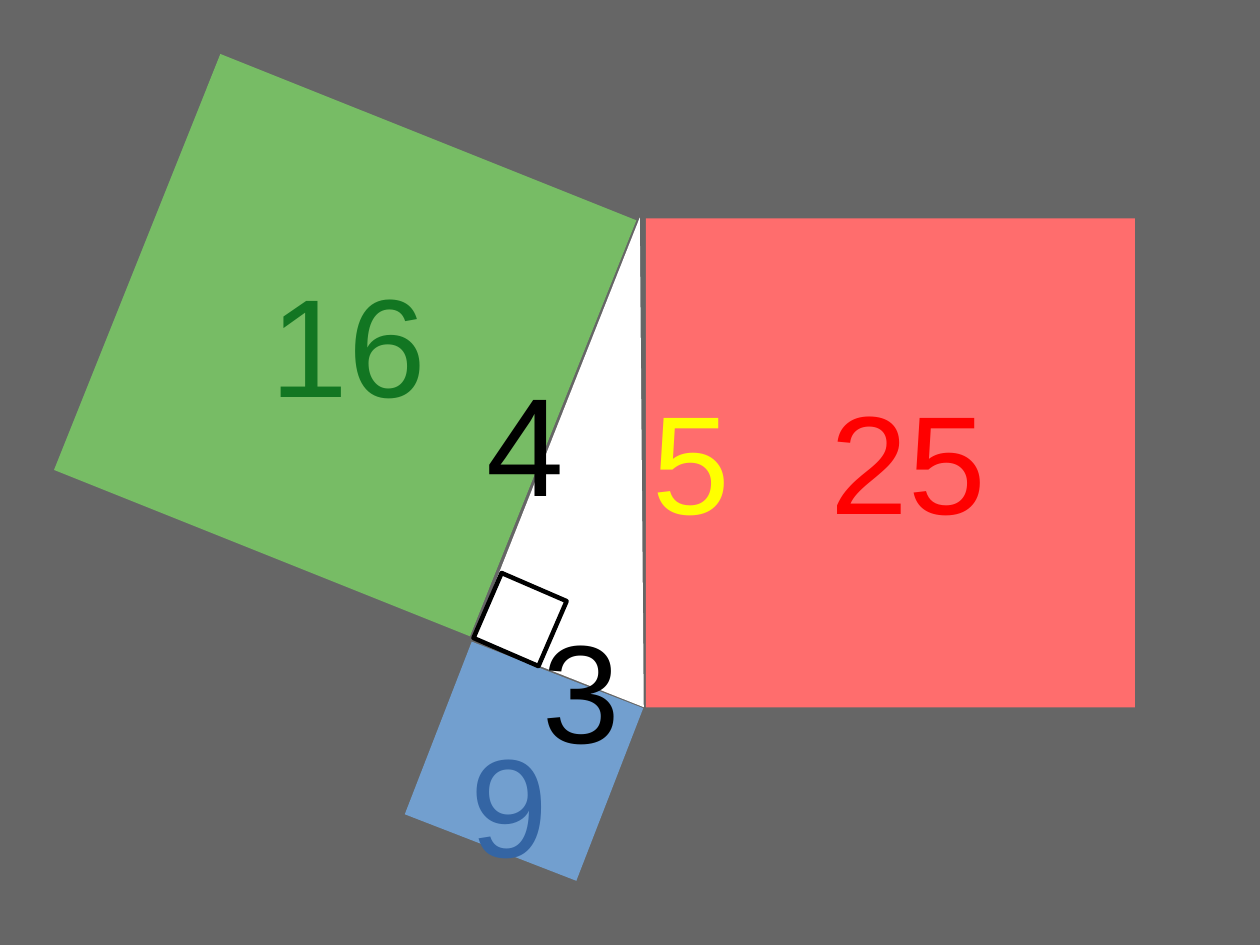
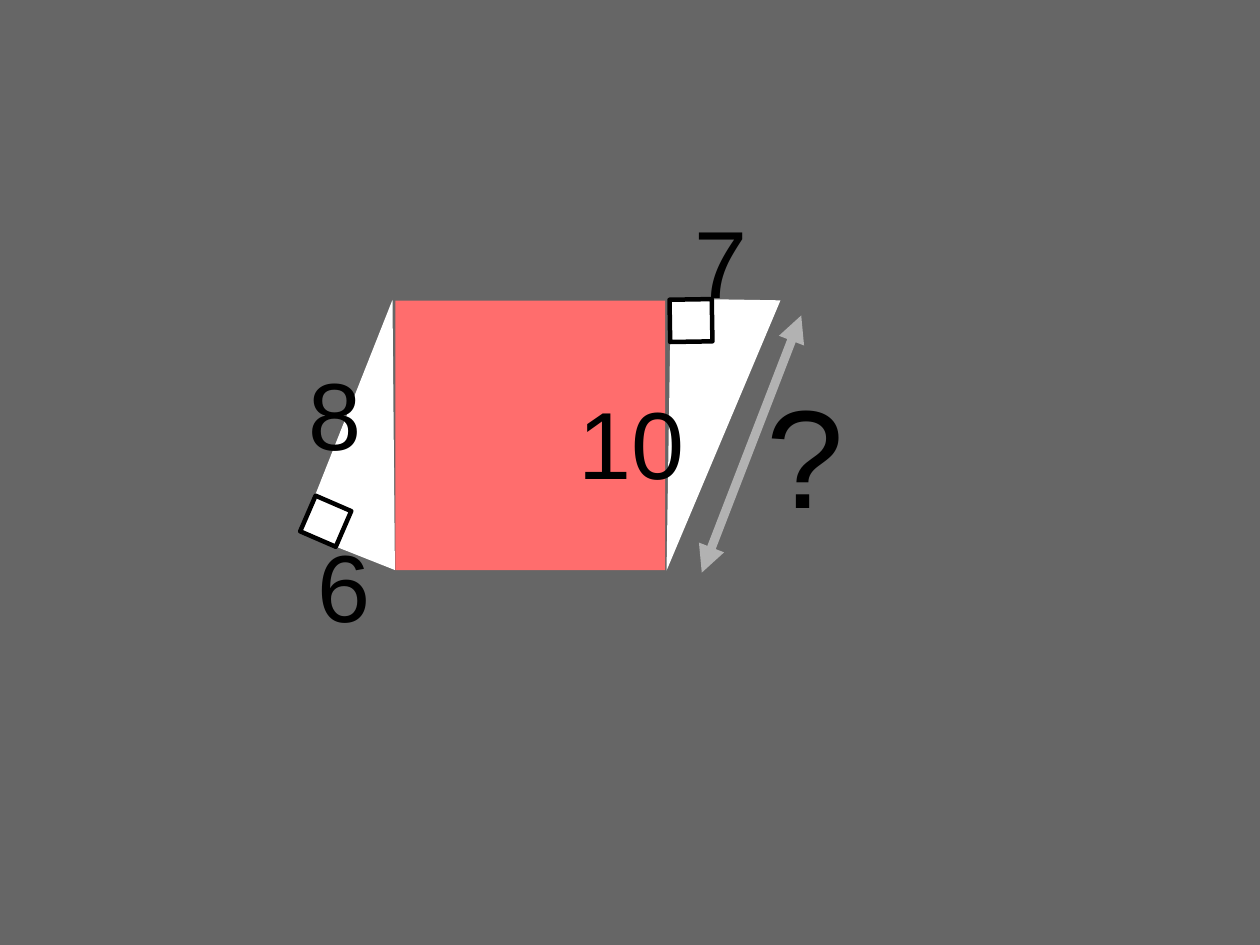
from dataclasses import dataclass

from lxml.etree import SubElement
from pptx import Presentation
from pptx.dml.color import RGBColor
from pptx.enum.shapes import MSO_CONNECTOR, MSO_SHAPE
from pptx.enum.text import MSO_ANCHOR, MSO_AUTO_SIZE, PP_ALIGN
from pptx.oxml.ns import qn
from pptx.slide import Slide
from pptx.util import Inches, Pt

CM_PER_INCH = 2.54
SLIDE_WIDTH = 28 / CM_PER_INCH
SLIDE_HEIGHT = 21 / CM_PER_INCH


@dataclass(frozen=True)
class Theme:
    backdrop: str = "666666"
    triangle: str = "FFFFFF"
    red_square: str = "FF6D6D"
    blue_square: str = "729FCF"
    green_square: str = "77BC65"
    ink: str = "000000"
    yellow_ink: str = "FFFF00"
    green_ink: str = "127622"
    blue_ink: str = "3465A4"
    red_ink: str = "FF0000"
    arrow: str = "B2B2B2"
    font: str = "Arial"
    large: int = 88
    medium: int = 60
    marker_line: float = 2.83
    arrow_line: float = 5.67


THEME = Theme()


@dataclass(frozen=True)
class Figure:
    left: float
    top: float
    width: float
    height: float
    rotation: float = 0
    fill: str | None = None
    preset: MSO_SHAPE = MSO_SHAPE.RECTANGLE
    mirrored: bool = False


@dataclass(frozen=True)
class Label:
    text: str
    left: float
    top: float
    width: float
    height: float
    size: int = THEME.large
    color: str = THEME.ink


@dataclass(frozen=True)
class Arrow:
    start: tuple[float, float]
    end: tuple[float, float]


def triangle(left: float, top: float, width: float, height: float,
             rotation: float, mirrored: bool = False) -> Figure:
    return Figure(left, top, width, height, rotation, THEME.triangle,
                  MSO_SHAPE.RIGHT_TRIANGLE, mirrored)


def square(left: float, top: float, side: float, rotation: float = 0,
           fill: str | None = None, mirrored: bool = False) -> Figure:
    return Figure(left, top, side, side, rotation, fill, mirrored=mirrored)


def rgb(color: str) -> RGBColor:
    return RGBColor.from_string(color)


def draw_figure(slide: Slide, figure: Figure) -> None:
    shape = slide.shapes.add_shape(
        figure.preset, Inches(figure.left), Inches(figure.top),
        Inches(figure.width), Inches(figure.height))
    shape.shadow.inherit = False
    shape.rotation = figure.rotation
    if figure.fill:
        shape.fill.solid()
        shape.fill.fore_color.rgb = rgb(figure.fill)
        shape.line.fill.background()
    else:
        shape.fill.background()
        shape.line.color.rgb = rgb(THEME.ink)
        shape.line.width = Pt(THEME.marker_line)
    if figure.mirrored:
        shape._element.spPr.find(qn("a:xfrm")).set("flipH", "1")


def draw_arrow(slide: Slide, arrow: Arrow) -> None:
    connector = slide.shapes.add_connector(
        MSO_CONNECTOR.STRAIGHT, *map(Inches, arrow.start + arrow.end))
    connector.line.color.rgb = rgb(THEME.arrow)
    connector.line.width = Pt(THEME.arrow_line)
    properties = connector._element.spPr
    outline = properties.find(qn("a:ln"))
    for tip in ("a:headEnd", "a:tailEnd"):
        SubElement(outline, qn(tip), type="triangle")
    SubElement(properties, qn("a:effectLst"))


def add_text(slide: Slide, text: str, *, left: float, top: float, width: float,
             height: float, size: int, color: str) -> None:
    box = slide.shapes.add_textbox(
        Inches(left), Inches(top), Inches(width), Inches(height))
    frame = box.text_frame
    frame.word_wrap = True
    frame.auto_size = MSO_AUTO_SIZE.SHAPE_TO_FIT_TEXT
    frame.vertical_anchor = MSO_ANCHOR.TOP
    paragraph = frame.paragraphs[0]
    paragraph.alignment = PP_ALIGN.LEFT
    run = paragraph.add_run()
    run.text = text
    run.font.name = THEME.font
    run.font.size = Pt(size)
    run.font.color.rgb = rgb(color)


def draw_label(slide: Slide, label: Label) -> None:
    add_text(slide, label.text, left=label.left, top=label.top,
             width=label.width, height=label.height,
             size=label.size, color=label.color)


DRAW = {Figure: draw_figure, Arrow: draw_arrow, Label: draw_label}

BACKDROP = Figure(0, 0, SLIDE_WIDTH, SLIDE_HEIGHT, fill=THEME.backdrop)

SQUARES_ON_SIDES = (
    triangle(4.81, 2.06, 1.61, 3.97, 21.6),
    square(5.65, 1.91, 4.28, fill=THEME.red_square),
    Figure(3.78, 5.85, 1.61, 1.62, 21.2, THEME.blue_square),
    square(1.06, 1.06, 3.92, 21.8, THEME.green_square),
    square(4.24, 5.11, 0.62, 293.4),
    Label("5", 5.61, 3.23, 1.75, 2.04, color=THEME.yellow_ink),
    Label("16", 2.27, 2.21, 1.75, 2.04, color=THEME.green_ink),
    Label("9", 4.02, 6.23, 1.75, 2.04, color=THEME.blue_ink),
    Label("4", 4.16, 3.07, 0.96, 1.46),
    Label("3", 4.65, 5.23, 0.96, 1.46),
    Label("25", 7.17, 3.23, 1.75, 2.04, color=THEME.red_ink),
)

UNKNOWN_SIDE = (
    triangle(3, 2.71, 0.89, 2.19, 21.6),
    square(3.46, 2.63, 2.36, fill=THEME.red_square),
    square(2.68, 4.39, 0.34, 293.4),
    triangle(5.85, 2.62, 0.96, 2.38, 180.9, mirrored=True),
    square(5.86, 2.62, 0.37, 269.1, mirrored=True),
    Label("6", 2.68, 4.56, 0.71, 1.03, THEME.medium),
    Label("8", 2.6, 3.06, 0.71, 1.03, THEME.medium),
    Label("7", 5.98, 1.73, 0.71, 1.03, THEME.medium),
    Label("10", 4.96, 3.31, 1.26, 1.96, THEME.medium),
    Arrow((7.01, 2.76), (6.14, 5.01)),
    Label("?", 6.61, 3.18, 0.87, 1.46),
)


def main() -> None:
    presentation = Presentation()
    presentation.slide_width = Inches(SLIDE_WIDTH)
    presentation.slide_height = Inches(SLIDE_HEIGHT)
    blank_layout = presentation.slide_layouts[6]
    for diagram in (SQUARES_ON_SIDES, UNKNOWN_SIDE):
        slide = presentation.slides.add_slide(blank_layout)
        for part in (BACKDROP, *diagram):
            DRAW[type(part)](slide, part)
    presentation.save("out.pptx")


if __name__ == "__main__":
    main()
